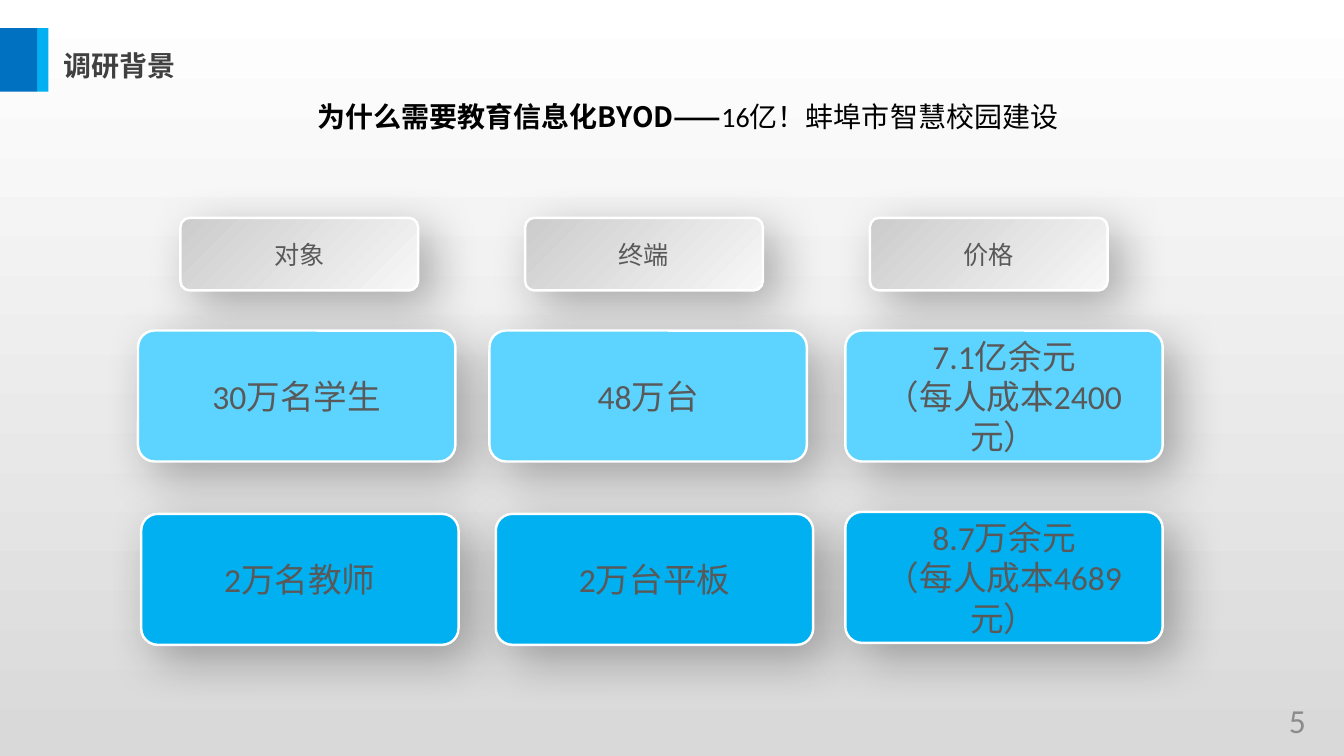
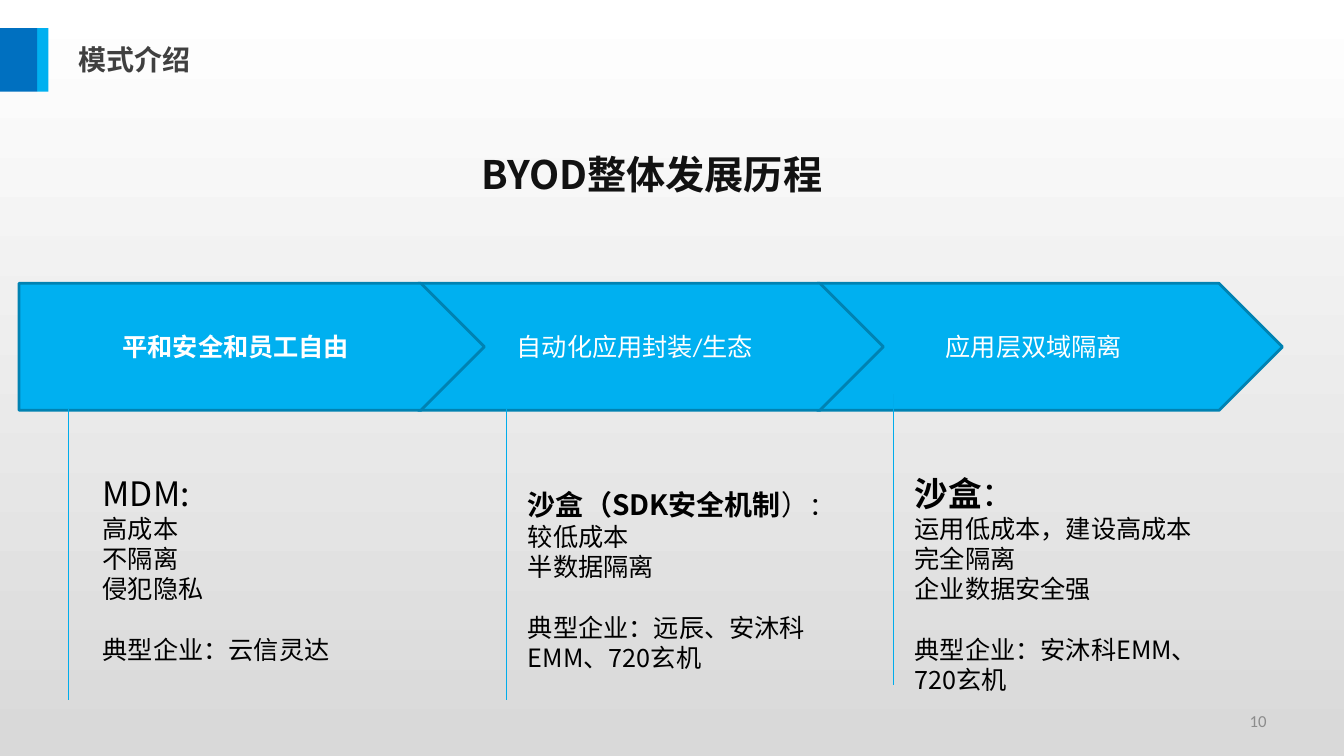
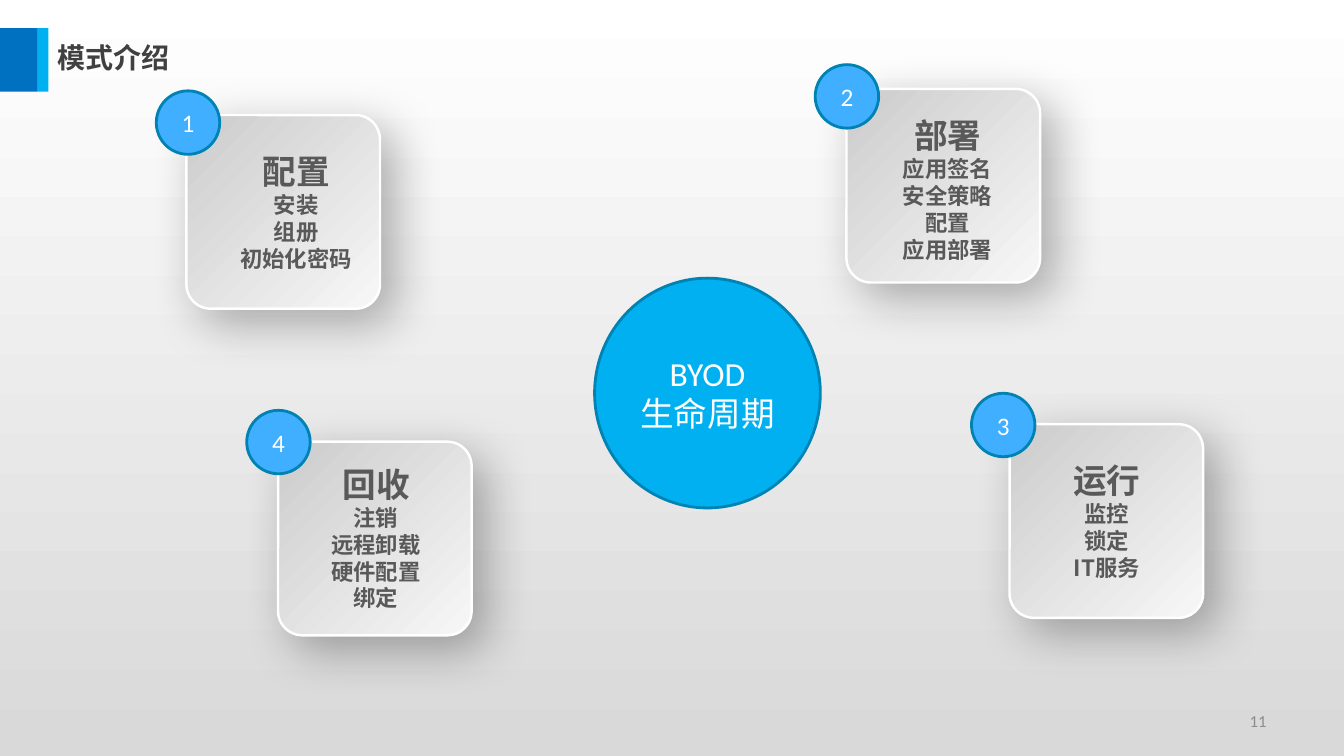
from dataclasses import dataclass
from typing import NamedTuple

import lxml.etree
import pptx
import pptx.dml.color
import pptx.enum.shapes
import pptx.enum.text
import pptx.oxml.ns
import pptx.presentation
import pptx.shapes.autoshape
import pptx.slide
import pptx.text.text
import pptx.util

Cm = pptx.util.Cm
Pt = pptx.util.Pt
RGBColor = pptx.dml.color.RGBColor
Shape = pptx.shapes.autoshape.Shape
Slide = pptx.slide.Slide
Kind = pptx.enum.shapes.MSO_SHAPE
Align = pptx.enum.text.PP_ALIGN
Anchor = pptx.enum.text.MSO_ANCHOR
qn = pptx.oxml.ns.qn

WHITE = RGBColor(0xFF, 0xFF, 0xFF)
BLACK = RGBColor(0x00, 0x00, 0x00)
INK = RGBColor(0x12, 0x12, 0x12)
TITLE_GREY = RGBColor(0x40, 0x40, 0x40)
TEXT_GREY = RGBColor(0x59, 0x59, 0x59)
NUMBER_GREY = RGBColor(0x8C, 0x8C, 0x8C)
PAGE_GREY = RGBColor(0xD9, 0xD9, 0xD9)
CARD_DARK = RGBColor(0xCC, 0xCC, 0xCC)
CARD_LIGHT = RGBColor(0xF7, 0xF7, 0xF7)
BLUE = RGBColor(0x00, 0xB0, 0xF0)
DEEP_BLUE = RGBColor(0x00, 0x70, 0xC0)
PALE_BLUE = RGBColor(0x5D, 0xD4, 0xFF)
BADGE_BLUE = RGBColor(0x40, 0xAF, 0xFF)
EDGE_BLUE = RGBColor(0x00, 0x82, 0xB2)
RULE_BLUE = RGBColor(0x00, 0xAC, 0xEB)

LATIN = "Calibri"
CHINESE = "Noto Sans CJK SC"


class Box(NamedTuple):
    left: float
    top: float
    width: float
    height: float

    def lengths(self) -> tuple[pptx.util.Length, ...]:
        return tuple(Cm(value) for value in self)


@dataclass(frozen=True)
class Span:
    text: str
    size: float
    bold: bool = False
    font: str = CHINESE


@dataclass(frozen=True)
class Para:
    spans: tuple[Span, ...]
    gap: float = 0


@dataclass(frozen=True)
class Stage:
    label: str
    bold: bool
    rule_left: float
    rule_top: float
    notes: Box
    heading: tuple[Span, ...]
    points: tuple[str, ...]
    example: str


@dataclass(frozen=True)
class Step:
    card: tuple[float, float]
    badge: tuple[float, float]
    words: Box
    heading: str
    points: tuple[str, ...]


def plain(text: str, size: float, bold: bool = False, font: str = LATIN) -> list[Para]:
    return [Para((Span(line, size, bold, font),)) for line in text.split("\n")]


def write(frame: pptx.text.text.TextFrame, paras: list[Para], color: RGBColor,
          align: Align = Align.LEFT, anchor: Anchor = Anchor.TOP) -> None:
    frame.word_wrap = True
    frame.auto_size = pptx.enum.text.MSO_AUTO_SIZE.NONE
    frame.vertical_anchor = anchor
    for index, para in enumerate(paras):
        target = frame.add_paragraph() if index else frame.paragraphs[0]
        target.alignment = align
        target.space_before = Pt(para.gap)
        for span in para.spans:
            run = target.add_run()
            run.text = span.text
            run.font.size = Pt(span.size)
            run.font.bold = span.bold
            run.font.color.rgb = color
            run.font.name = span.font
            east = lxml.etree.SubElement(run._r.get_or_add_rPr(), qn("a:ea"))
            east.set("typeface", CHINESE)


def add_text(page: Slide, box: Box, paras: list[Para], color: RGBColor,
             align: Align = Align.LEFT, anchor: Anchor = Anchor.TOP) -> None:
    write(page.shapes.add_textbox(*box.lengths()).text_frame, paras, color, align, anchor)


def set_gradient(fill: pptx.dml.fill.FillFormat, start: RGBColor, end: RGBColor,
                 angle: float, end_position: float = 1) -> None:
    fill.gradient()
    fill.gradient_angle = angle
    for stop, color, position in zip(fill.gradient_stops, (start, end), (0, end_position)):
        stop.color.rgb = color
        stop.position = position


def add_solid(page: Slide, kind: Kind, box: Box, color: RGBColor,
              edge: RGBColor | None = None, width: float = 2) -> Shape:
    shape = page.shapes.add_shape(kind, *box.lengths())
    shape.shadow.inherit = False
    shape.fill.solid()
    shape.fill.fore_color.rgb = color
    if edge is None:
        shape.line.fill.background()
    else:
        shape.line.color.rgb = edge
        shape.line.width = Pt(width)
    return shape


def add_card(page: Slide, box: Box, color: RGBColor | None = None) -> Shape:
    card = add_solid(page, Kind.ROUNDED_RECTANGLE, box, color or CARD_LIGHT, WHITE, 1.75)
    card.adjustments[0] = 0.126
    if color is None:
        set_gradient(card.fill, CARD_DARK, CARD_LIGHT, 315)
    effects = card.element.spPr.find(qn("a:effectLst"))
    shadow = lxml.etree.SubElement(
        effects, qn("a:outerShdw"), blurRad=str(Pt(35)), dist=str(Pt(14)),
        dir="2700000", algn="tl", rotWithShape="0")
    tint = lxml.etree.SubElement(shadow, qn("a:srgbClr"), val=str(BLACK))
    lxml.etree.SubElement(tint, qn("a:alpha"), val="30000")
    return card


def label(shape: Shape, paras: list[Para], color: RGBColor) -> None:
    write(shape.text_frame, paras, color, Align.CENTER, Anchor.MIDDLE)


def add_rule(page: Slide, left: float, top: float, height: float) -> None:
    rule = page.shapes.add_connector(
        pptx.enum.shapes.MSO_CONNECTOR.STRAIGHT,
        Cm(left), Cm(top), Cm(left), Cm(top + height))
    rule.line.color.rgb = RULE_BLUE
    rule.line.width = Pt(0.75)
    lxml.etree.SubElement(rule.element.spPr, qn("a:effectLst"))


SMALL_NUMBER = Box(24.28, 17.65, 7.9, 1.02)


def add_page(deck: pptx.presentation.Presentation, title: str, left: float, top: float,
             number: str, number_box: Box = SMALL_NUMBER, number_size: float = 12) -> Slide:
    page = deck.slides.add_slide(deck.slide_layouts[5])
    heading = page.shapes.title
    heading.left, heading.top, heading.width, heading.height = Box(left, top, 11, 1.12).lengths()
    write(heading.text_frame, plain(title, 20, True, CHINESE), TITLE_GREY)
    add_solid(page, Kind.RECTANGLE, Box(0.94, 0.71, 0.28, 1.6), BLUE)
    add_solid(page, Kind.RECTANGLE, Box(0, 0.71, 0.94, 1.6), DEEP_BLUE)
    add_text(page, number_box, plain(number, number_size), NUMBER_GREY,
             Align.RIGHT, Anchor.MIDDLE)
    return page


def build_background(deck: pptx.presentation.Presentation) -> None:
    page = add_page(deck, "调研背景", 1.35, 1.09, "5", Box(22.63, 17.22, 10.54, 1.83), 24)
    question = Para((Span("为什么需要教育信息化BYOD——", 20, True),
                     Span("16亿！蚌埠市智慧校园建设", 20, False, LATIN)))
    add_text(page, Box(7.75, 2.39, 19.2, 1.96), [question], BLACK)
    for column, name in enumerate(("对象", "终端", "价格")):
        header = add_card(page, Box(4.55 + 8.69 * column, 5.49, 5.99, 1.83))
        label(header, plain(name, 18), TEXT_GREY)
    rows = (
        (PALE_BLUE, ((3.48, 8.33, "30万名学生"), (12.34, 8.33, "48万台"),
                     (21.31, 8.33, "7.1亿余元\n（每人成本2400元）"))),
        (BLUE, ((3.56, 12.95, "2万名教师"), (12.5, 12.95, "2万台平板"),
                (21.31, 12.9, "8.7万余元\n（每人成本4689元）"))),
    )
    for color, cells in rows:
        for left, top, text in cells:
            label(add_card(page, Box(left, top, 8, 3.3), color), plain(text, 24), TEXT_GREY)


STAGES = (
    Stage("平和安全和员工自由", True, 1.73, 10.31, Box(2.34, 11.79, 6.6, 5.13),
          (Span("MDM:", 24),), ("高成本", "不隔离", "侵犯隐私"), "典型企业：云信灵达"),
    Stage("自动化应用封装/生态", False, 12.78, 10.31, Box(13.06, 12.17, 8.48, 6.5),
          (Span("沙盒（SDK安全机制", 20, True), Span("）", 20), Span("：", 18)),
          ("较低成本", "半数据隔离"), "典型企业：远辰、安沐科EMM、720玄机"),
    Stage("应用层双域隔离", False, 22.53, 9.93, Box(22.81, 11.79, 7.9, 6.68),
          (Span("沙盒", 24, True), Span("：", 24)),
          ("运用低成本，建设高成本", "完全隔离", "企业数据安全强"),
          "典型企业：安沐科EMM、720玄机"),
)


def build_history(deck: pptx.presentation.Presentation) -> None:
    page = add_page(deck, "模式介绍", 1.73, 0.94, "10")
    add_text(page, Box(11.89, 3.66, 9.65, 1.45),
             plain("BYOD整体发展历程", 28, True, CHINESE), INK)
    for index, stage in reversed(list(enumerate(STAGES))):
        arrow = add_solid(page, Kind.PENTAGON, Box(0.48 + 10.06 * index, 7.14, 11.73, 3.2),
                          BLUE, EDGE_BLUE)
        label(arrow, plain(stage.label, 18, stage.bold), WHITE)
    for stage in STAGES:
        add_rule(page, stage.rule_left, stage.rule_top, 7.33)
        paras = [Para(stage.heading), *plain("\n".join(stage.points), 18, font=CHINESE),
                 Para((Span(stage.example, 18),), gap=21.6)]
        add_text(page, stage.notes, paras, BLACK)


STEPS = (
    Step((4.7, 2.9), (3.94, 2.29), Box(5.46, 3.68, 4.01, 3.33),
         "配置", ("安装", "组册", "初始化密码")),
    Step((21.34, 2.24), (20.55, 1.63), Box(22.33, 2.77, 3.12, 4.01),
         "部署", ("应用签名", "安全策略配置", "应用部署")),
    Step((25.45, 10.69), (24.49, 9.91), Box(26.34, 11.46, 3.12, 3.33),
         "运行", ("监控", "锁定", "IT服务")),
    Step((7.01, 11.13), (6.22, 10.34), Box(7.92, 11.56, 3.12, 4.01),
         "回收", ("注销", "远程卸载", "硬件配置绑定")),
)


def build_life_cycle(deck: pptx.presentation.Presentation) -> None:
    page = add_page(deck, "模式介绍", 1.19, 0.89, "11")
    hub = add_solid(page, Kind.OVAL, Box(14.99, 7.01, 5.69, 5.79), BLUE, EDGE_BLUE)
    label(hub, plain("BYOD\n生命周期", 24), WHITE)
    for number, step in enumerate(STEPS, start=1):
        add_card(page, Box(*step.card, 4.88, 4.88))
        paras = (plain(step.heading, 24, True, CHINESE)
                 + plain("\n".join(step.points), 16, True, CHINESE))
        add_text(page, step.words, paras, TEXT_GREY, Align.CENTER)
        badge = add_solid(page, Kind.OVAL, Box(*step.badge, 1.6, 1.6), BADGE_BLUE, EDGE_BLUE)
        label(badge, plain(str(number), 18), WHITE)


def main() -> None:
    deck = pptx.Presentation()
    deck.slide_width, deck.slide_height = Cm(33.88), Cm(19.05)
    set_gradient(deck.slide_master.background.fill, WHITE, PAGE_GREY, 270, 0.99)
    build_background(deck)
    build_history(deck)
    build_life_cycle(deck)
    deck.save("out.pptx")


if __name__ == "__main__":
    main()
